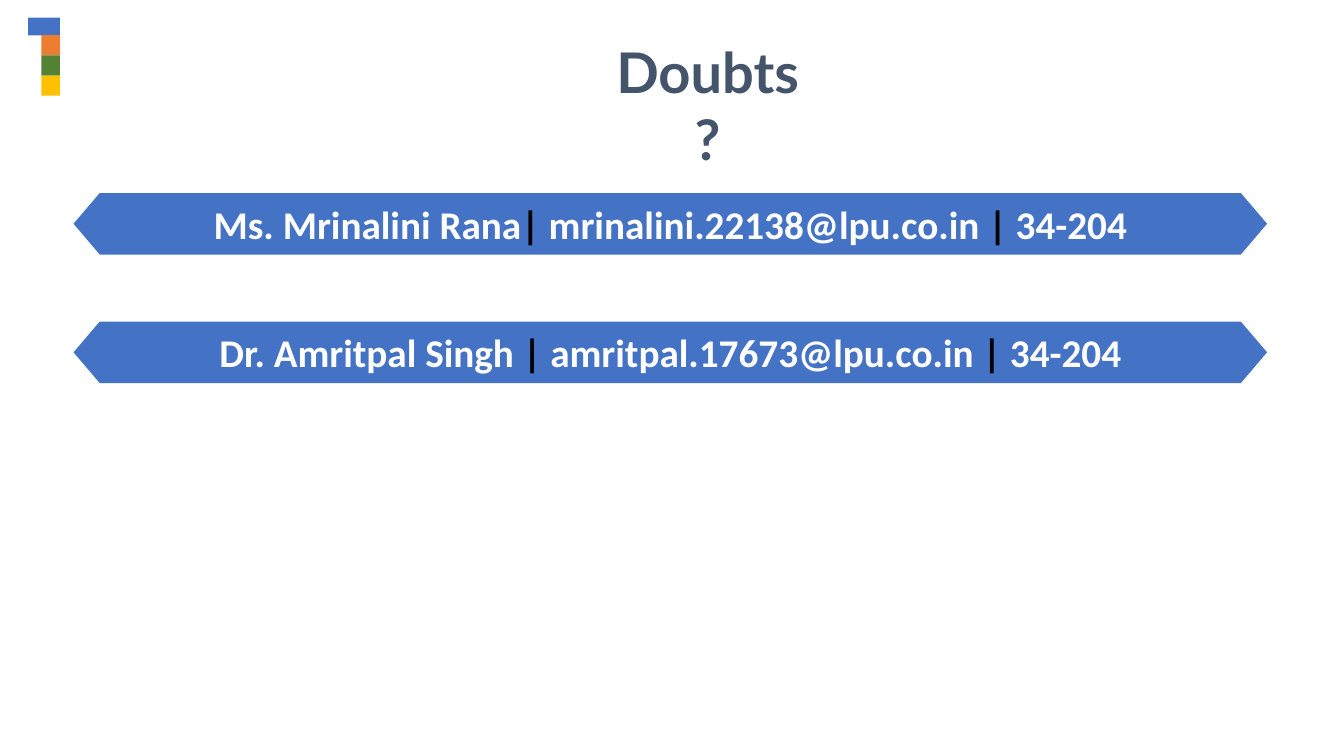
from pptx import Presentation
from pptx.dml.color import RGBColor
from pptx.enum.shapes import MSO_SHAPE
from pptx.enum.text import MSO_ANCHOR, PP_ALIGN
from pptx.util import Inches, Pt

RECTANGLE = MSO_SHAPE.RECTANGLE
CENTER = PP_ALIGN.CENTER
TOP, MIDDLE = MSO_ANCHOR.TOP, MSO_ANCHOR.MIDDLE

COLORS = {
    "blue": "4472C4",
    "orange": "ED7D31",
    "green": "548235",
    "yellow": "FFC000",
    "slate": "44546A",
    "white": "FFFFFF",
    "black": "000000",
}
CONTACTS = [
    ("Ms. Mrinalini Rana", " mrinalini.22138@lpu.co.in ", " 34-204"),
    ("Dr. Amritpal Singh ", " amritpal.17673@lpu.co.in ", " 34-204"),
]


class SlideBuilder:
    columns, rows = 133.33, 75

    def __init__(self, deck):
        self.column = deck.slide_width / self.columns
        self.row = deck.slide_height / self.rows
        self.page = deck.slides.add_slide(deck.slide_layouts[6])

    def point(self, column, row):
        return round(column * self.column), round(row * self.row)

    def paint(self, shape, color):
        shape.shadow.inherit = False
        shape.fill.solid()
        shape.fill.fore_color.rgb = RGBColor.from_string(COLORS[color])
        shape.line.fill.background()

    def add_text(self, shape, spans, font, size, **frame_format):
        frame = shape.text_frame
        for name, value in {"word_wrap": True, **frame_format}.items():
            setattr(frame, name, value)
        para = frame.paragraphs[0]
        para.alignment = CENTER
        for text, color in spans:
            span = para.add_run()
            span.text = text
            for name, value in {"name": font, "size": Pt(size), "bold": True}.items():
                setattr(span.font, name, value)
            span.font.color.rgb = RGBColor.from_string(COLORS[color])

    def title(self, text, left, top, width, height):
        box = self.page.shapes.add_textbox(*self.point(left, top), *self.point(width, height))
        inset = self.point(2, 0)[0]
        self.add_text(box, [(text, "slate")], "Lato", 40, vertical_anchor=TOP,
                      margin_left=inset, margin_right=inset)

    def block(self, color, left, top, width, height):
        block = self.page.shapes.add_shape(
            RECTANGLE, *self.point(left, top), *self.point(width, height))
        self.paint(block, color)

    def banner(self, spans, left, top, width, height, tip):
        right, middle, bottom = left + width, top + height / 2, top + height
        outline = [
            (right - tip, top), (left + tip, top), (left, middle),
            (left + tip, bottom), (right - tip, bottom), (right, middle),
        ]
        start, *corners = [self.point(*corner) for corner in outline]
        builder = self.page.shapes.build_freeform(*start)
        builder.add_line_segments(corners, close=True)
        banner = builder.convert_to_shape()
        self.paint(banner, "blue")
        self.add_text(banner, spans, "Calibri", 28, vertical_anchor=MIDDLE)


def main():
    deck = Presentation()
    deck.slide_width, deck.slide_height = Inches(13.333), Inches(7.5)
    slide = SlideBuilder(deck)

    slide.title("Doubts ?", 58.5, 3.2, 23.4, 7.7)
    slide.block("blue", 2.8, 1.75, 3.15, 1.75)
    for index, color in enumerate(["orange", "green", "yellow"]):
        slide.block(color, 4.1, 3.5 + 2 * index, 1.85, 2)
    for index, (name, email, room) in enumerate(CONTACTS):
        spans = [
            (name, "white"), ("|", "black"), (email, "white"),
            ("|", "black"), (room, "white"),
        ]
        slide.banner(spans, 7.3, 19.15 + 12.75 * index, 118.4, 6.1, 2.6)

    deck.save("out.pptx")


if __name__ == "__main__":
    main()
